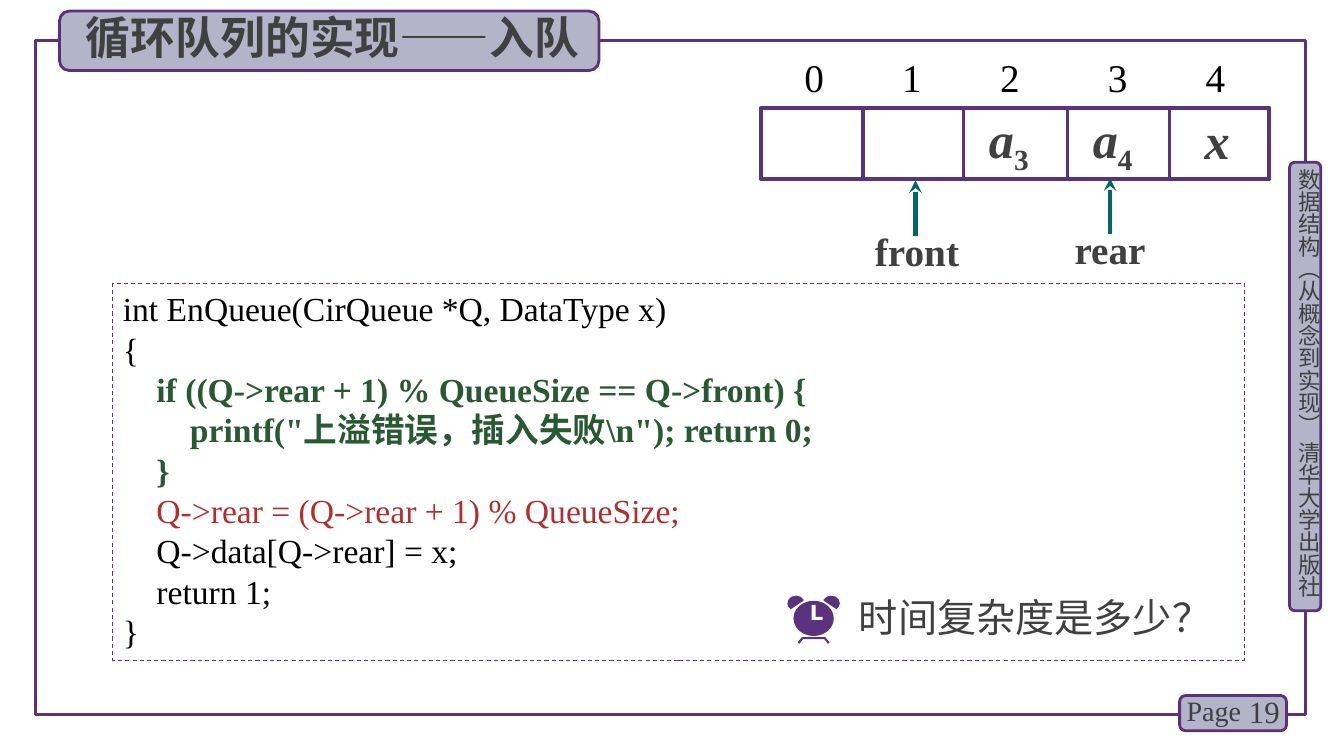
from dataclasses import dataclass

import pptx
import pptx.dml.color
import pptx.enum.dml
import pptx.enum.shapes
import pptx.enum.text
import pptx.oxml
import pptx.oxml.ns
import pptx.util
from pptx.util import Inches

COLORS = {
    "purple": "5A327D",
    "border": "5C307D",
    "panel": "B4B4C8",
    "text": "404040",
    "black": "000000",
    "green": "285A32",
    "red": "B42D2D",
    "teal": "006666",
    "white": "FFFFFF",
}
SERIF = "Times New Roman"
CJK = "Noto Sans CJK SC"
ALIGN = pptx.enum.text.PP_ALIGN
ANCHOR = pptx.enum.text.MSO_ANCHOR
SHAPE = pptx.enum.shapes.MSO_SHAPE


@dataclass
class Label:
    text: str
    left: float
    top: float
    width: float
    height: float
    size: float
    font: str = SERIF
    color: str = "text"
    bold: bool = False
    align: ALIGN = ALIGN.LEFT
    anchor: ANCHOR = ANCHOR.TOP


@dataclass
class Element:
    name: str
    subscript: str
    left: float
    top: float


@dataclass
class Pointer:
    name: str
    x: float
    tip: float
    label_left: float


@dataclass
class CodeLine:
    text: str
    color: str = "black"
    bold: bool = False


CELLS_LEFT, CELLS_TOP, CELLS_WIDTH, CELLS_HEIGHT = 7.55, 1.07, 5.04, 0.71
DIVIDERS = (8.56, 9.56, 10.59, 11.6)
INDEX_TABS = (0.97, 1.94, 3.01, 3.98)
CLOCK_CENTER = 8.07
BELL = ((7.84, 6.04), (7.82, 6.02), (7.81, 5.99), (7.82, 5.95), (7.85, 5.92),
        (7.9, 5.91), (7.94, 5.92), (7.97, 5.95), (7.97, 5.96), (7.85, 6.04))
HANDS = ((8.05, 6), (8.09, 6), (8.09, 6.12), (8.16, 6.12), (8.16, 6.15), (8.05, 6.15))
LEGS = ((7.92, 6.38), (7.96, 6.33), (8.18, 6.33), (8.22, 6.38))

TITLE = Label("循环队列的实现——入队", 0.7, 0.05, 5.2, 0.64, 32, CJK, bold=True, align=ALIGN.CENTER)
SIDE = Label("数据结构（从概念到实现） 清华大学出版社", 12.85, 1.67, 0.27, 4.49, 16, CJK)
PAGE_LABELS = (
    Label("19", 12.2, 6.86, 0.59, 0.4, 22, align=ALIGN.RIGHT, anchor=ANCHOR.MIDDLE),
    Label("Page", 11.67, 6.83, 0.78, 0.44, 20),
)
INDEXES = Label("0\t1\t2\t3\t4", 7.88, 0.48, 4.65, 0.57, 28, color="black")
QUESTION = Label("时间复杂度是多少？", 8.42, 5.84, 3.92, 0.57, 28, CJK)
ELEMENTS = (
    Element("a", "3", 9.71, 1.02),
    Element("a", "4", 10.74, 1.02),
    Element("x", "", 11.85, 1.03),
)
POINTERS = (Pointer("rear", 11.01, 1.77, 10.56), Pointer("front", 9.08, 1.79, 8.58))
CODE = (
    CodeLine("int EnQueue(CirQueue *Q, DataType x)"),
    CodeLine("{"),
    CodeLine("    if ((Q->rear + 1) % QueueSize == Q->front) {", "green", True),
    CodeLine('        printf("上溢错误，插入失败\\n"); return 0;', "green", True),
    CodeLine("    }", "green", True),
    CodeLine("    Q->rear = (Q->rear + 1) % QueueSize;", "red"),
    CodeLine("    Q->data[Q->rear] = x;"),
    CodeLine("    return 1;"),
    CodeLine("}"),
)


def rgb(name: str) -> pptx.dml.color.RGBColor:
    return pptx.dml.color.RGBColor.from_string(COLORS[name])


def add_xml(parent, tag: str, **attributes: str):
    child = pptx.oxml.parse_xml(f"<a:{tag} {pptx.oxml.ns.nsdecls('a')}/>")
    for key, value in attributes.items():
        child.set(key, value)
    parent.append(child)
    return child


def style_font(font, size: float, name: str, color: str, bold: bool) -> None:
    font.size = pptx.util.Pt(size)
    font.bold = bold
    font.color.rgb = rgb(color)
    font.name = name
    add_xml(font._element, "ea", typeface=CJK)


def set_outline(line, color: str, width: float) -> None:
    line.color.rgb = rgb(color)
    line.width = pptx.util.Pt(width)


def add_box(slide, kind: SHAPE, left: float, top: float, width: float, height: float,
            fill: str = "", outline: str = "", line_width: float = 0):
    shape = slide.shapes.add_shape(kind, Inches(left), Inches(top), Inches(width), Inches(height))
    shape.shadow.inherit = False
    paint(shape, fill, outline, line_width)
    return shape


def paint(shape, fill: str, outline: str = "", line_width: float = 0) -> None:
    if fill:
        shape.fill.solid()
        shape.fill.fore_color.rgb = rgb(fill)
    else:
        shape.fill.background()
    if outline:
        set_outline(shape.line, outline, line_width)
    else:
        shape.line.fill.background()


def add_text_box(slide, left: float, top: float, width: float, height: float):
    box = slide.shapes.add_textbox(Inches(left), Inches(top), Inches(width), Inches(height))
    box.text_frame.word_wrap = True
    return box


def add_label(slide, label: Label, tabs: tuple[float, ...] = ()):
    box = add_text_box(slide, label.left, label.top, label.width, label.height)
    box.text_frame.vertical_anchor = label.anchor
    paragraph = box.text_frame.paragraphs[0]
    paragraph.text = label.text
    paragraph.alignment = label.align
    if tabs:
        tab_list = add_xml(paragraph._p.get_or_add_pPr(), "tabLst")
        for position in tabs:
            add_xml(tab_list, "tab", pos=str(Inches(position)), algn="l")
    style_font(paragraph.font, label.size, label.font, label.color, label.bold)
    return box


def add_line(slide, x: float, start: float, end: float, color: str, width: float):
    """Draw a vertical line."""
    line = slide.shapes.add_connector(pptx.enum.shapes.MSO_CONNECTOR.STRAIGHT,
                                      Inches(x), Inches(start), Inches(x), Inches(end))
    set_outline(line.line, color, width)
    add_xml(line._element.spPr, "effectLst")
    return line


def add_outline_shape(slide, points, close: bool = True):
    corners = [(Inches(x), Inches(y)) for x, y in points]
    builder = slide.shapes.build_freeform(*corners[0])
    builder.add_line_segments(corners[1:], close=close)
    shape = builder.convert_to_shape()
    shape.shadow.inherit = False
    return shape


def add_element(slide, element: Element) -> None:
    box = add_text_box(slide, element.left, element.top, 0.64, 0.7)
    paragraph = box.text_frame.paragraphs[0]
    style_font(paragraph.font, 36, SERIF, "text", True)
    name = paragraph.add_run()
    name.text = element.name
    name.font.italic = True
    if element.subscript:
        subscript = paragraph.add_run()
        subscript.text = element.subscript
        subscript.font._element.set("baseline", "-25000")


def add_pointer(slide, pointer: Pointer) -> None:
    arrow = add_line(slide, pointer.x, pointer.tip + 0.55, pointer.tip, "teal", 3)
    add_xml(arrow.line._get_or_add_ln(), "tailEnd", type="stealth")
    add_label(slide, Label(pointer.name, pointer.label_left, pointer.tip + 0.42, 1.13, 0.57, 28, bold=True))


def add_code(slide) -> None:
    box = add_text_box(slide, 1.12, 2.81, 11.22, 3.74)
    set_outline(box.line, "purple", 0.75)
    box.line.dash_style = pptx.enum.dml.MSO_LINE.DASH
    frame = box.text_frame
    for number, line in enumerate(CODE):
        paragraph = frame.add_paragraph() if number else frame.paragraphs[0]
        paragraph.text = line.text
        style_font(paragraph.font, 24, SERIF, line.color, line.bold)


def add_clock(slide) -> None:
    paint(add_outline_shape(slide, LEGS, close=False), "", "purple", 1.5)
    right_bell = [(2 * CLOCK_CENTER - x, y) for x, y in BELL]
    for bell in (BELL, right_bell):
        paint(add_outline_shape(slide, bell), "purple")
    add_box(slide, SHAPE.OVAL, 7.87, 5.96, 0.4, 0.35, fill="purple")
    paint(add_outline_shape(slide, HANDS), "white")


def main() -> None:
    presentation = pptx.Presentation()
    presentation.slide_width, presentation.slide_height = Inches(13.33), Inches(7.5)
    slide = presentation.slides.add_slide(presentation.slide_layouts[6])

    add_box(slide, SHAPE.RECTANGLE, 0.35, 0.4, 12.6, 6.69, outline="purple", line_width=2.25)
    for bounds in ((12.79, 1.61, 0.31, 4.45), (11.7, 6.9, 1.06, 0.35), (0.59, 0.11, 5.35, 0.59)):
        add_box(slide, SHAPE.ROUNDED_RECTANGLE, *bounds, "panel", "border", 2)
    side_frame = add_label(slide, SIDE).text_frame
    side_frame.margin_left = side_frame.margin_right = side_frame.margin_top = side_frame.margin_bottom = 0
    side_frame._txBody.bodyPr.set("vert", "eaVert")
    for label in (*PAGE_LABELS, TITLE):
        add_label(slide, label)

    add_code(slide)
    add_box(slide, SHAPE.RECTANGLE, CELLS_LEFT, CELLS_TOP, CELLS_WIDTH, CELLS_HEIGHT,
            outline="purple", line_width=3)
    for x in DIVIDERS:
        add_line(slide, x, CELLS_TOP, CELLS_TOP + CELLS_HEIGHT, "purple", 2.25)
    add_label(slide, INDEXES, INDEX_TABS)
    for element in ELEMENTS:
        add_element(slide, element)
    for pointer in POINTERS:
        add_pointer(slide, pointer)
    add_label(slide, QUESTION)
    add_clock(slide)
    presentation.save("out.pptx")


if __name__ == "__main__":
    main()
